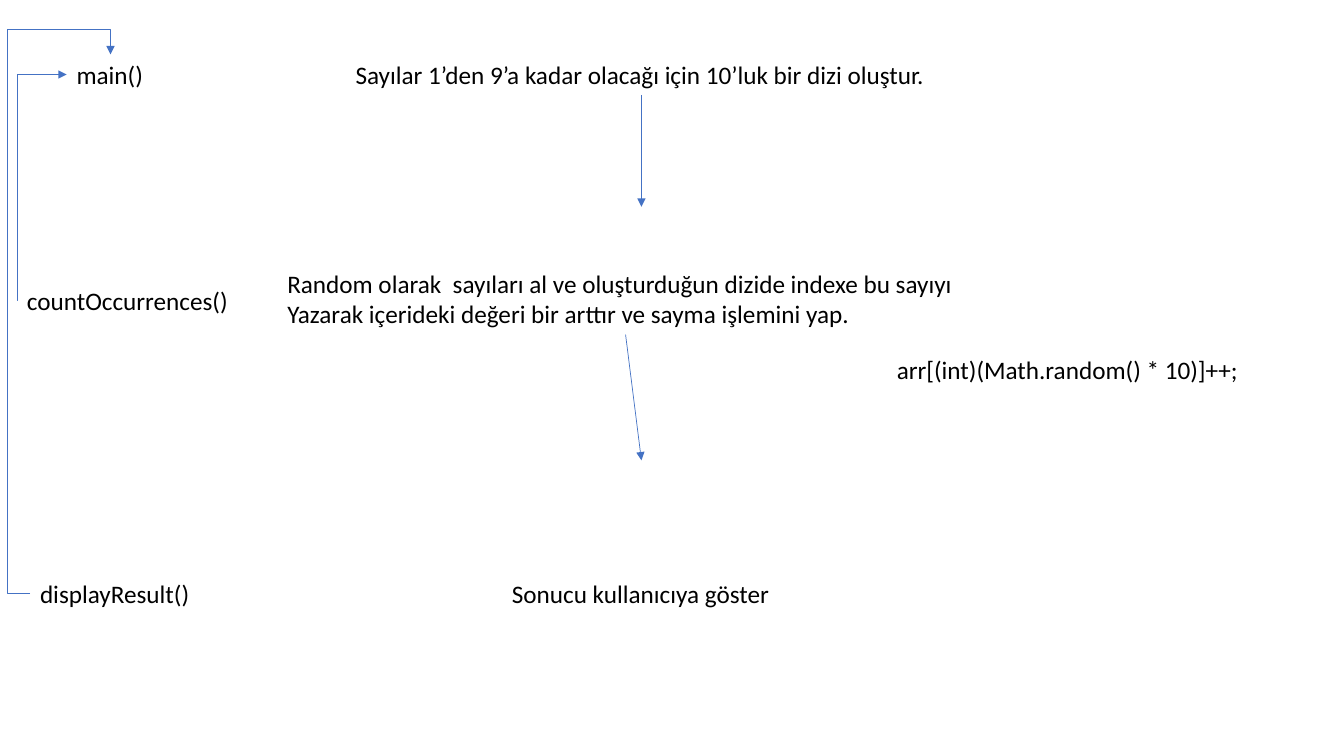
from dataclasses import dataclass

from lxml import etree
from pptx import Presentation
from pptx.dml.color import RGBColor
from pptx.enum.shapes import MSO_CONNECTOR
from pptx.enum.text import MSO_AUTO_SIZE
from pptx.oxml.ns import qn
from pptx.util import Cm, Pt

STRAIGHT, ELBOW = MSO_CONNECTOR.STRAIGHT, MSO_CONNECTOR.ELBOW
FIT = MSO_AUTO_SIZE.SHAPE_TO_FIT_TEXT


@dataclass(frozen=True)
class Theme:
    font: str = "Calibri"
    size: float = 18
    ink: str = "000000"
    blue: str = "4472C4"
    line: float = 0.5


THEME = Theme()
ROW = 1.02  # height of a one-line text, in cm


def add_text(slide, text, left, top, width, high=ROW, size=THEME.size, color=THEME.ink):
    box = slide.shapes.add_textbox(Cm(left), Cm(top), Cm(width), Cm(high))
    frame = box.text_frame
    frame.text = text
    frame.word_wrap = False
    frame.auto_size = FIT
    for para in frame.paragraphs:
        font = para.font
        font.name, font.size = THEME.font, Pt(size)
        font.color.rgb = RGBColor.from_string(color)


def add_arrow(slide, start, end, bends=()):
    """Draw an arrow; bends are the elbow's adjustments in 1/1000 percent."""
    kind = ELBOW if bends else STRAIGHT
    arrow = slide.shapes.add_connector(kind, *map(Cm, start + end))
    arrow.line.color.rgb = RGBColor.from_string(THEME.blue)
    arrow.line.width = Pt(THEME.line)
    props = arrow.line._get_or_add_ln()
    etree.SubElement(props, qn("a:tailEnd"), type="triangle")
    shape = props.getparent()
    etree.SubElement(shape, qn("a:effectLst"))
    if bends:
        geom = shape.find(qn("a:prstGeom"))
        geom.set("prst", f"bentConnector{len(bends) + 2}")
        guides = geom.find(qn("a:avLst"))
        for num, bend in enumerate(bends, 1):
            etree.SubElement(guides, qn("a:gd"), name=f"adj{num}", fmla=f"val {bend}")


def add_calls(slide, left, top):
    """Place the method names and the arrows leading back to main()."""
    names = (
        ("main()", 1.25, 0, 2.21),
        ("countOccurrences()", 0, 5.69, 5.64),
        ("displayResult()", 0.33, 13.08, 4.32),
    )
    for name, x, y, width in names:
        add_text(slide, name, left + x, top + y, width)
    (_, main, _, wide), (_, count, low, _), (_, show, base, _) = names
    mid = top + ROW / 2
    add_arrow(slide, (left + count, mid + low), (left + main, mid), (1000,))
    add_arrow(slide, (left + show, mid + base), (left + main + wide / 2, top),
              (-27900, 104700))


def add_steps(slide, left, top):
    """Place the explanations, the code line and the downward arrows."""
    steps = (
        ("Sayılar 1’den 9’a kadar olacağı için 10’luk bir dizi oluştur.",
         1.72, 0, 14.91, ROW),
        ("Random olarak  sayıları al ve oluşturduğun dizide indexe bu sayıyı\n"
         "Yazarak içerideki değeri bir arttır ve sayma işlemini yap.",
         0, 5.26, 17.55, 1.8),
        ("Sonucu kullanıcıya göster", 5.66, 13.08, 7.06, ROW),
        ("arr[(int)(Math.random() * 10)]++;", 15.36, 7.44, 9.22, ROW),
    )
    for text, x, y, width, high in steps:
        add_text(slide, text, left + x, top + y, width, high)
    axis = left + steps[0][1] + steps[0][3] / 2
    for (_, x, y, width, high), drop in zip(steps, (2.82, 3.17)):
        foot = top + y + high
        add_arrow(slide, (left + x + width / 2, foot), (axis, foot + drop))


def main():
    deck = Presentation()
    deck.slide_width, deck.slide_height = Cm(33.87), Cm(19.05)
    slide = deck.slides.add_slide(deck.slide_layouts[6])
    add_steps(slide, 6.99, 1.37)
    add_calls(slide, 0.43, 1.37)
    deck.save("out.pptx")


if __name__ == "__main__":
    main()
